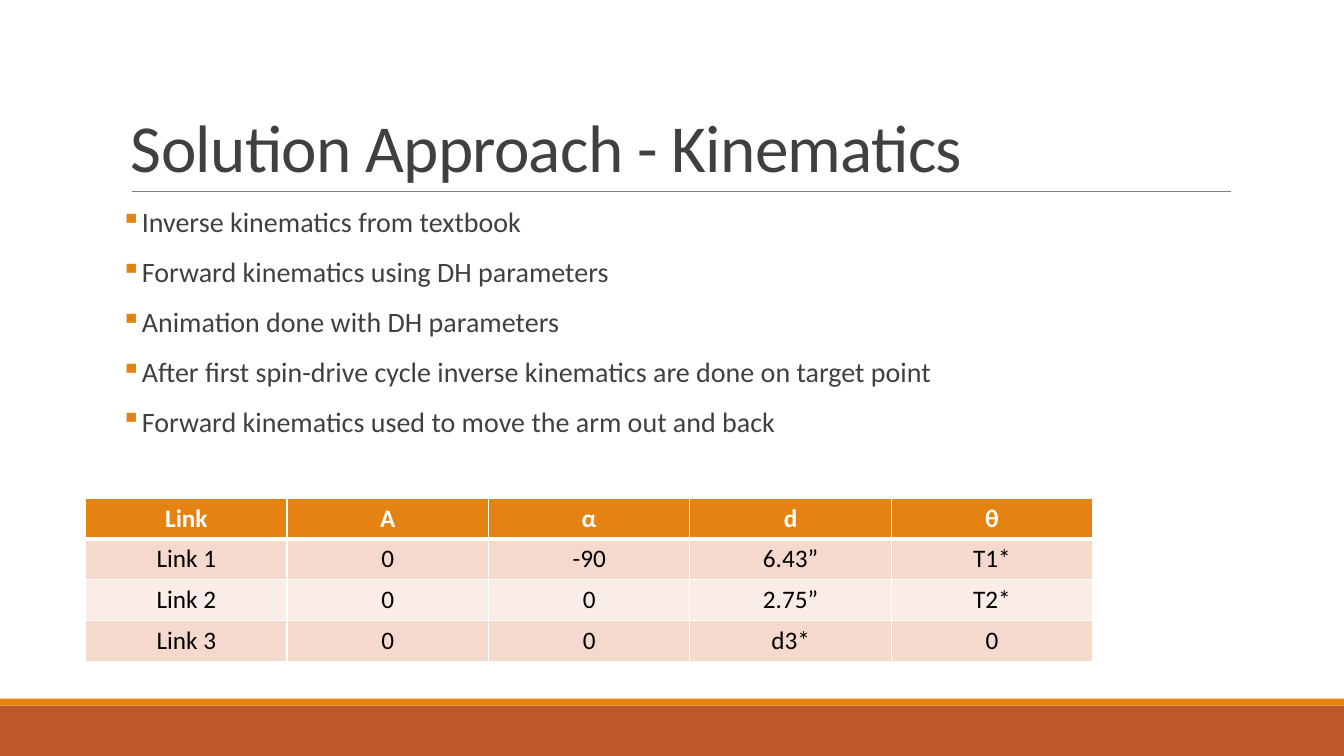
"""Build the kinematics slide with its bullet list and DH parameter table."""
import pptx
import pptx.dml.color
import pptx.enum.shapes
import pptx.enum.text
import pptx.oxml
import pptx.oxml.ns
import pptx.util
import lxml.etree

Pt = pptx.util.Pt
PP_ALIGN = pptx.enum.text.PP_ALIGN
ANCHOR = pptx.enum.text.MSO_ANCHOR

COLORS = {
    "orange": "E48312",
    "rust": "BD582C",
    "rule": "808080",
    "text": "404040",
    "white": "FFFFFF",
    "black": "000000",
    "band_dark": "F5D9CC",
    "band_light": "FAEDE7",
}
FONT = "Calibri"
SLIDE_WIDTH, SLIDE_HEIGHT = 960, 540
COLUMN_WIDTH, ROW_HEIGHT = 143.86, 29.2

POINTS = [
    "Inverse kinematics from textbook",
    "Forward kinematics using DH parameters",
    "Animation done with DH parameters",
    "After first spin-drive cycle inverse kinematics are done on target point",
    "Forward kinematics used to move the arm out and back",
]
DH_ROWS = [
    ["Link", "A", "α", "d", "θ"],
    ["Link 1", "0", "-90", "6.43”", "T1*"],
    ["Link 2", "0", "0", "2.75”", "T2*"],
    ["Link 3", "0", "0", "d3*", "0"],
]


def rgb(name):
    return pptx.dml.color.RGBColor.from_string(COLORS[name])


def parse_drawing(xml):
    declaration = pptx.oxml.ns.nsdecls("a")
    return pptx.oxml.parse_xml(xml.replace("/>", f" {declaration}/>", 1)
                               if xml.endswith("/>") and xml.count("<") == 1
                               else xml.replace(">", f" {declaration}>", 1))


def set_font(paragraph, size, color, bold=False):
    font = paragraph.font
    font.name = FONT
    font.size = Pt(size)
    font.bold = bold
    font.color.rgb = rgb(color)


def add_band(slide, top, height, color):
    band = slide.shapes.add_shape(pptx.enum.shapes.MSO_SHAPE.RECTANGLE,
                                  0, Pt(top), Pt(SLIDE_WIDTH), Pt(height))
    band.shadow.inherit = False
    band.fill.solid()
    band.fill.fore_color.rgb = rgb(color)
    band.line.fill.background()


def add_rule(slide, left, right, top):
    rule = slide.shapes.add_connector(pptx.enum.shapes.MSO_CONNECTOR.STRAIGHT,
                                      Pt(left), Pt(top), Pt(right), Pt(top))
    rule.line.color.rgb = rgb("rule")
    rule.line.width = Pt(0.5)
    lxml.etree.SubElement(rule._element.spPr, pptx.oxml.ns.qn("a:effectLst"))


def add_text_frame(slide, left, top, width, height, anchor):
    box = slide.shapes.add_textbox(Pt(left), Pt(top), Pt(width), Pt(height))
    frame = box.text_frame
    frame.word_wrap = True
    frame.vertical_anchor = anchor
    return frame


def add_title(slide, wording):
    frame = add_text_frame(slide, 86.4, 22.6, 792, 114.2, ANCHOR.BOTTOM)
    title = frame.paragraphs[0]
    run = title.add_run()
    run.text = wording
    title.line_spacing = 0.85
    set_font(title, 48, "text")
    run.font._element.set("spc", "-50")


def add_bullets(slide, points):
    frame = add_text_frame(slide, 86.4, 145.4, 792, 188, ANCHOR.TOP)
    frame.margin_left = frame.margin_right = 0
    frame.text = "\n".join(points)
    for point in frame.paragraphs:
        point.line_spacing = 0.9
        point.space_before = Pt(12)
        point.space_after = Pt(2)
        set_font(point, 20, "text")
        properties = point._p.get_or_add_pPr()
        properties.set("marL", str(Pt(7.2)))
        properties.set("indent", str(Pt(-7.2)))
        bullet_color = parse_drawing(
            f'<a:buClr><a:srgbClr val="{COLORS["orange"]}"/></a:buClr>')
        bullet = parse_drawing('<a:buChar char="▪"/>')
        default_run = properties.find(pptx.oxml.ns.qn("a:defRPr"))
        default_run.addprevious(bullet_color)
        default_run.addprevious(bullet)


def set_borders(cell, top, bottom):
    properties = cell._tc.get_or_add_tcPr()
    widths = {"lnL": 1, "lnR": 1, "lnT": top, "lnB": bottom}
    for position, (side, width) in enumerate(widths.items()):
        properties.insert(position, parse_drawing(
            f'<a:{side} w="{Pt(width)}"><a:solidFill>'
            f'<a:srgbClr val="{COLORS["white"]}"/></a:solidFill></a:{side}>'))


def add_dh_table(slide, rows):
    columns = len(rows[0])
    table = slide.shapes.add_table(
        len(rows), columns, Pt(61.2), Pt(355.7),
        Pt(COLUMN_WIDTH * columns), Pt(ROW_HEIGHT * len(rows))).table
    for column in table.columns:
        column.width = Pt(COLUMN_WIDTH)
    for row_index, values in enumerate(rows):
        table.rows[row_index].height = Pt(ROW_HEIGHT)
        is_header = row_index == 0
        band = "band_dark" if row_index % 2 else "band_light"
        for column_index, value in enumerate(values):
            cell = table.cell(row_index, column_index)
            cell.text = value
            cell.fill.solid()
            cell.fill.fore_color.rgb = rgb("orange" if is_header else band)
            entry = cell.text_frame.paragraphs[0]
            entry.alignment = PP_ALIGN.CENTER
            set_font(entry, 18, "white" if is_header else "black", is_header)
            set_borders(cell, 3 if row_index == 1 else 1, 3 if is_header else 1)


def main():
    presentation = pptx.Presentation()
    presentation.slide_width = Pt(SLIDE_WIDTH)
    presentation.slide_height = Pt(SLIDE_HEIGHT)
    slide = presentation.slides.add_slide(presentation.slide_layouts[6])
    add_band(slide, 504, 36, "rust")
    add_band(slide, 499, 5, "orange")
    add_rule(slide, 94.3, 879, 136.8)
    add_title(slide, "Solution Approach - Kinematics")
    add_bullets(slide, POINTS)
    add_dh_table(slide, DH_ROWS)
    presentation.save("out.pptx")


if __name__ == "__main__":
    main()
